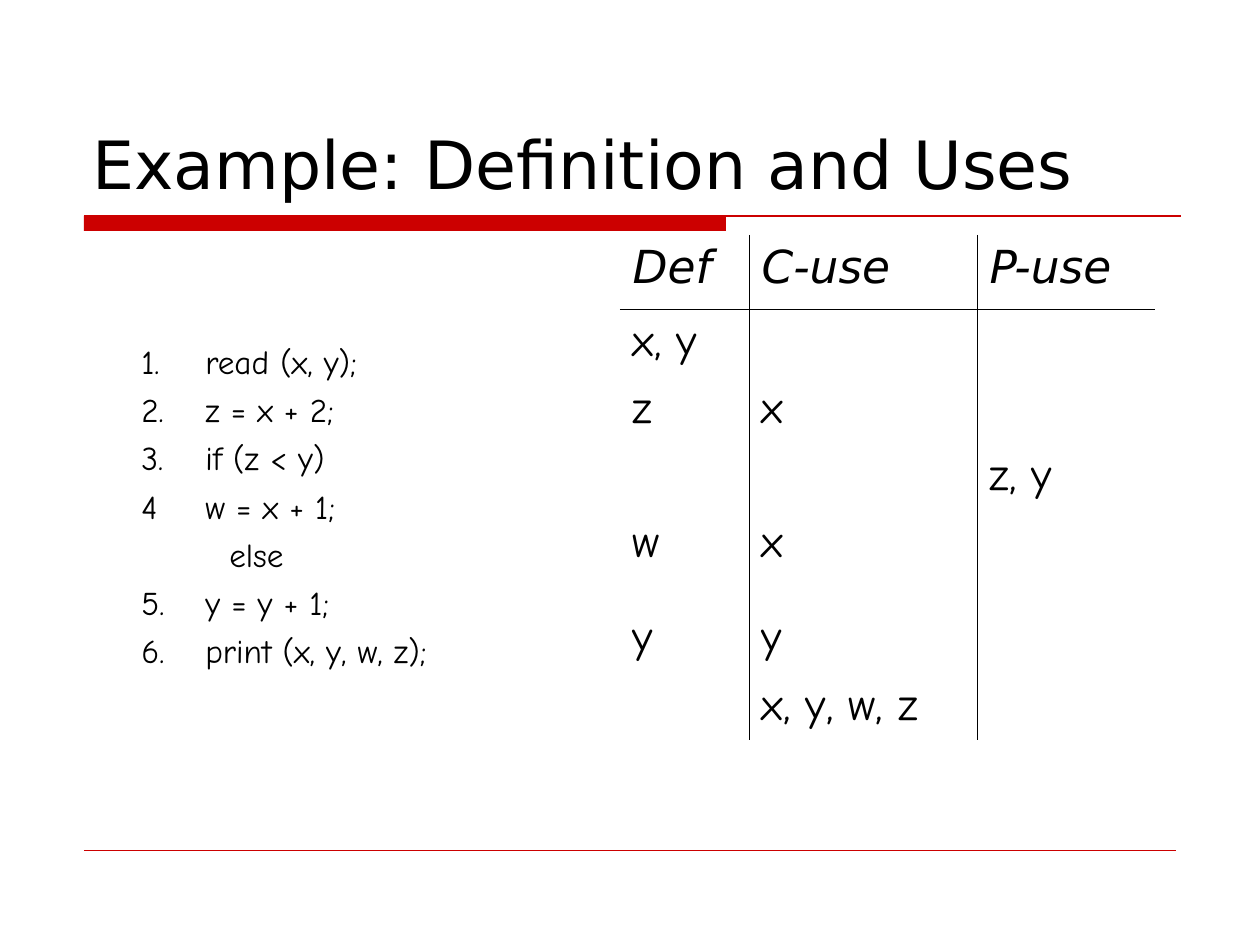
from dataclasses import dataclass

from lxml import etree
from pptx import Presentation
from pptx.dml.color import RGBColor
from pptx.enum.shapes import MSO_CONNECTOR, MSO_SHAPE
from pptx.enum.text import MSO_ANCHOR
from pptx.oxml.ns import qn
from pptx.util import Emu, Pt

LINE = MSO_CONNECTOR.STRAIGHT
RECT = MSO_SHAPE.RECTANGLE
TOP, BOTTOM = MSO_ANCHOR.TOP, MSO_ANCHOR.BOTTOM
SCALE = 914400 / 126  # EMU in one px


@dataclass(frozen=True)
class Theme:
    ink: str = "000000"
    red: str = "CC0000"
    sans: str = "DejaVu Sans"
    hand: str = "Comic Neue"
    title: float = 38
    code: float = 19
    cell: float = 26
    rule: float = 0.45


THEME = Theme()

CODE = [
    "1.\tread (x, y);",
    "2.\tz = x + 2;",
    "3.\tif (z < y)",
    "4\tw = x + 1;",
    "else",
    "5.\ty = y + 1;",
    "6.\tprint (x, y, w, z);",
]
USES = [
    ("Def", "C-use", "P-use"),
    ("x, y", "", ""),
    ("z", "x", ""),
    ("", "", "z, y"),
    ("w", "x", ""),
    ("y", "y", ""),
    ("", "x, y, w, z", ""),
]
COLS = (129, 228, 178)
ROWS = (74, 67, 67, 67, 95, 67, 67)


def px(n):
    return Emu(round(n * SCALE))


def style(para, font, size, italic=False):
    for run in para.runs:
        run.font.name = font
        run.font.size = Pt(size)
        run.font.italic = italic
        run.font.color.rgb = RGBColor.from_string(THEME.ink)


def add_text(slide, box, text, font, size, anchor=TOP):
    frame = slide.shapes.add_textbox(*map(px, box)).text_frame
    frame.word_wrap = True
    frame.vertical_anchor = anchor
    frame.text = text
    for para in frame.paragraphs:
        style(para, font, size)
    return frame


def add_rule(slide, left, right, y, width):
    rule = slide.shapes.add_connector(LINE, px(left), px(y), px(right), px(y))
    rule.line.color.rgb = RGBColor.from_string(THEME.red)
    rule.line.width = Pt(width)
    etree.SubElement(rule._element.spPr, qn("a:effectLst"))


def add_bar(slide, box):
    bar = slide.shapes.add_shape(RECT, *map(px, box))
    bar.shadow.inherit = False
    bar.fill.solid()
    bar.fill.fore_color.rgb = RGBColor.from_string(THEME.red)
    bar.line.fill.background()


def add_code(slide, box, lines):
    frame = add_text(slide, box, "\n".join(lines), THEME.hand, THEME.code)
    for para in frame.paragraphs:
        para.space_before = Pt(4.8)
        # Numbered lines hang; the bare one sits deeper
        left, hang = (64, -64) if "\t" in para.text else (88, 0)
        props = para._p.get_or_add_pPr()
        props.set("marL", str(px(left)))
        props.set("indent", str(px(hang)))


def set_edges(cell, shown):
    props = cell._tc.get_or_add_tcPr()
    for spot, side in enumerate("LRTB"):
        edge = etree.Element(qn(f"a:ln{side}"), w=str(Pt(THEME.rule)))
        if side in shown:
            fill = etree.SubElement(edge, qn("a:solidFill"))
            etree.SubElement(fill, qn("a:srgbClr"), val=THEME.ink)
        else:
            etree.SubElement(edge, qn("a:noFill"))
        props.insert(spot, edge)


def add_grid(slide, left, top, data):
    size = map(px, (left, top, sum(COLS), sum(ROWS)))
    table = slide.shapes.add_table(len(ROWS), len(COLS), *size).table
    table.first_row = table.horz_banding = False
    for col, width in zip(table.columns, COLS):
        col.width = px(width)
    for r, (row, height) in enumerate(zip(table.rows, ROWS)):
        row.height = px(height)
        for c, cell in enumerate(row.cells):
            cell.fill.background()
            # Rules run between columns and under the heading
            shown = {"L"} if c else set()
            if c < len(COLS) - 1:
                shown.add("R")
            if r < 2:
                shown.add("T" if r else "B")
            set_edges(cell, shown)
            if data[r][c]:
                cell.text = data[r][c]
                para = cell.text_frame.paragraphs[0]
                para.space_before = Pt(6.5)
                font = THEME.hand if r else THEME.sans
                style(para, font, THEME.cell, italic=r == 0)


def main():
    deck = Presentation()
    deck.slide_width, deck.slide_height = px(1260), px(945)
    slide = deck.slides.add_slide(deck.slide_layouts[6])

    # Red rules
    add_bar(slide, (84, 216, 642, 15))
    add_rule(slide, 84, 1181, 216, 0.75)
    add_rule(slide, 84, 1176, 850, 0.25)

    # Heading
    add_text(slide, (80, 42, 1102, 167), "Example: Definition and Uses",
             THEME.sans, THEME.title, BOTTOM)

    # Program and its table of uses
    add_code(slide, (129, 335, 475, 416), CODE)
    add_grid(slide, 620, 235, USES)

    deck.save("out.pptx")


if __name__ == "__main__":
    main()
